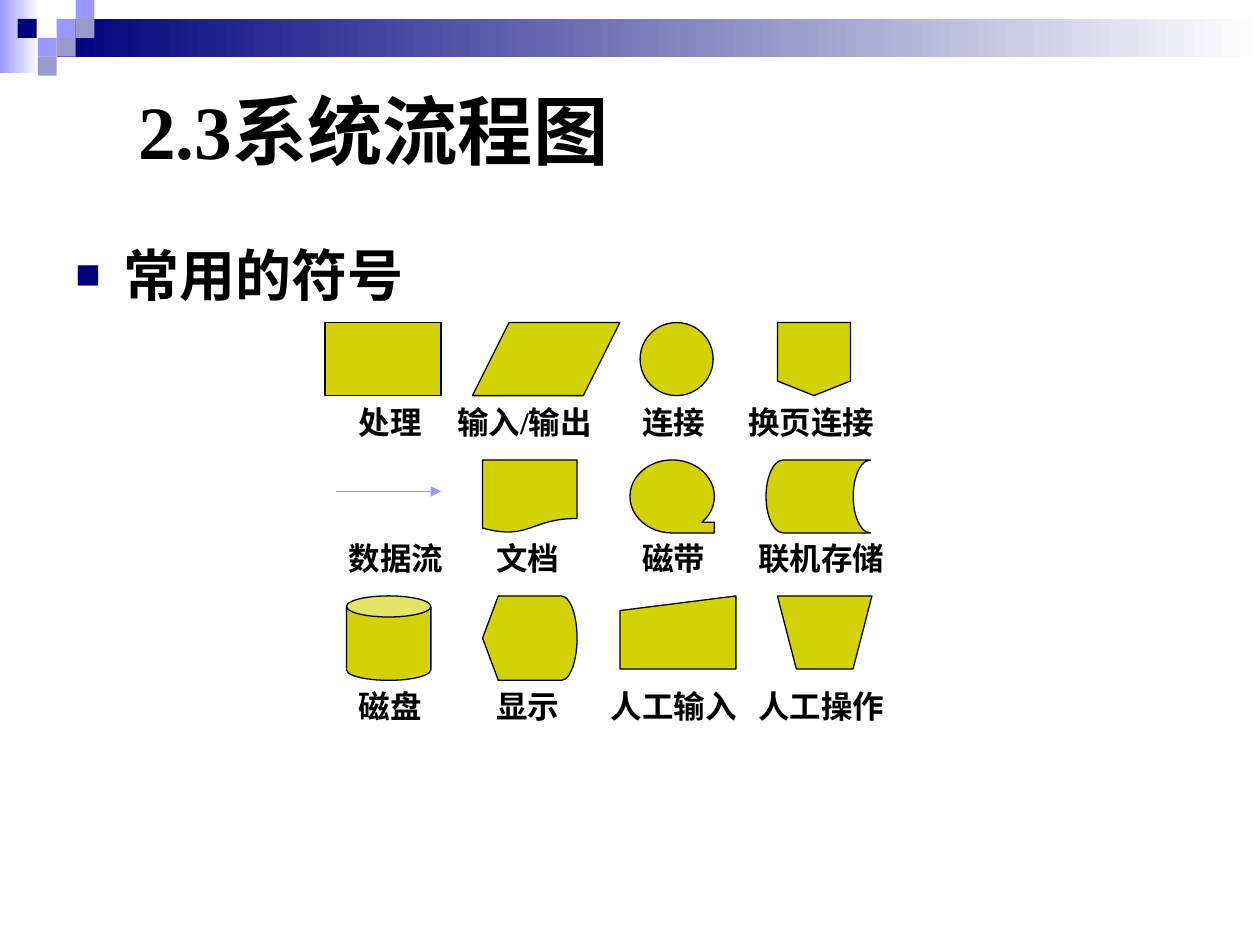
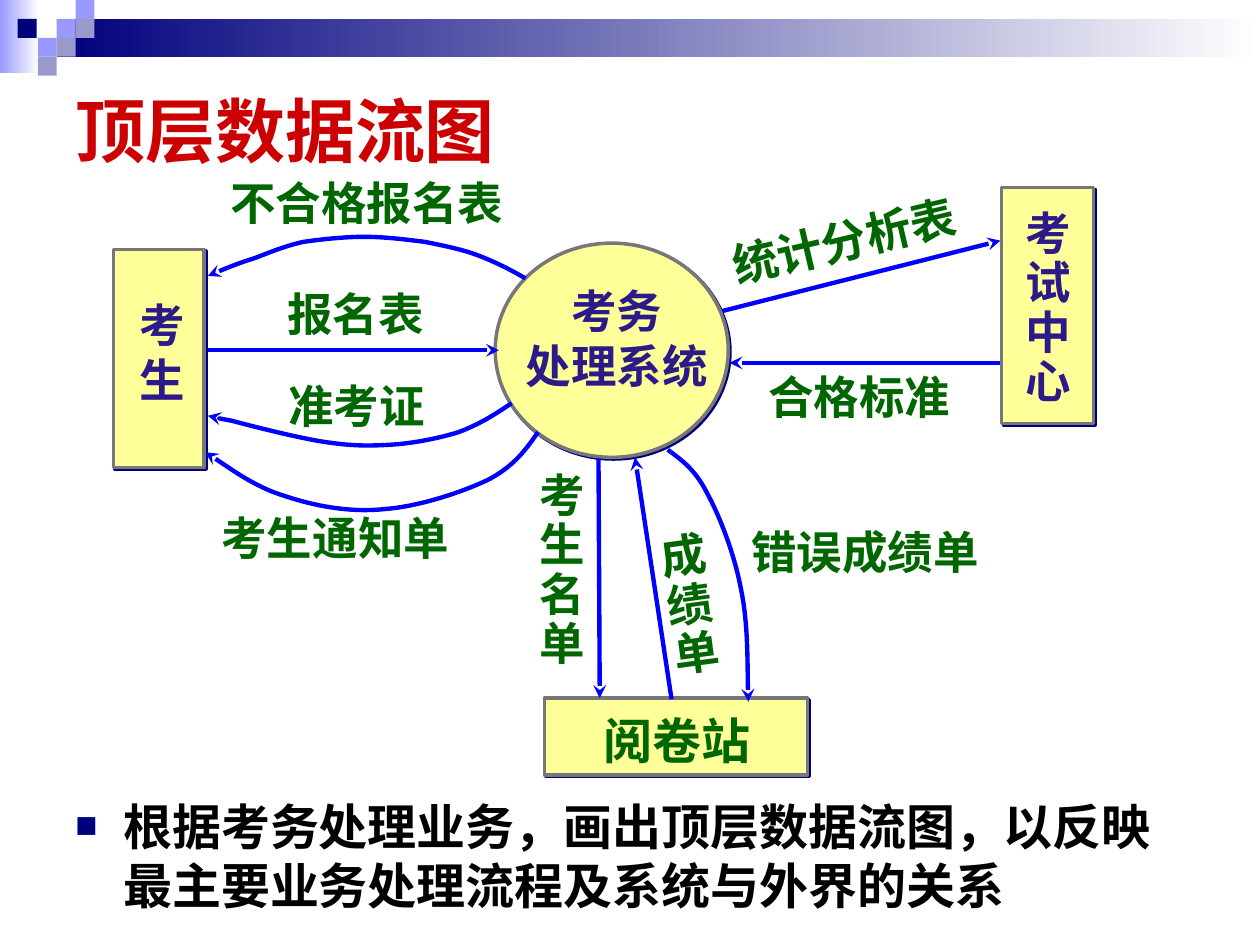
import pptx
import pptx.util
import pptx.dml.color
import pptx.enum.shapes
import pptx.enum.text
import pptx.oxml
import pptx.oxml.ns
from lxml import etree

SCALE = 9144  # EMU per px, 100 px to the inch
SERIF, SANS = "Times New Roman", "Noto Sans CJK SC"
COLORS = {
    "black": "000000", "white": "FFFFFF", "navy": "00007D", "periwinkle": "9999FF",
    "lavender": "9999CC", "olive": "D2D206", "red": "CC0000", "yellow": "FFFF99",
    "gray": "777777", "blue": "0000FF", "indigo": "2C1A88", "green": "006600",
}
SHAPE = pptx.enum.shapes.MSO_SHAPE
ANCHOR = pptx.enum.text.MSO_ANCHOR
ALIGN = pptx.enum.text.PP_ALIGN
qn = pptx.oxml.ns.qn


def px(*lengths):
    return [length * SCALE for length in lengths]


def rgb(color):
    return pptx.dml.color.RGBColor.from_string(COLORS[color])


def set_all(target, values):
    for name, value in values.items():
        setattr(target, name, value)


def add_xml(parent, tag, **attributes):
    texts = {name: str(value) for name, value in attributes.items()}
    return etree.SubElement(parent, qn(tag), texts)


class Painter:
    """Holds the deck, its style and the current page."""

    def __init__(self, width, height):
        self.deck = pptx.Presentation()
        self.deck.slide_width, self.deck.slide_height = px(width, height)
        self.page = None

    def new_page(self):
        self.page = self.deck.slides.add_slide(self.deck.slide_layouts[6])
        self.header()

    def header(self):
        # Fading bands
        for frame, color in (((0, 0, 31, 58), "periwinkle"), ((45, 15, 955, 30), "navy")):
            band = self.shape(SHAPE.RECTANGLE, frame)
            band.fill.gradient()
            band.fill.gradient_angle = 0
            for stop, name, position in zip(band.fill.gradient_stops, (color, "white"), (0, 1)):
                stop.color.rgb = rgb(name)
                stop.position = position
        # Mosaic squares
        for left, top, color in (
            (45, 15, "periwinkle"), (60, 0, "periwinkle"), (60, 15, "lavender"),
            (30, 30, "periwinkle"), (14, 15, "navy"), (45, 30, "lavender"),
            (30, 45, "lavender"),
        ):
            self.shape(SHAPE.RECTANGLE, (left, top, 15, 15), color)

    def shape(self, kind, frame, fill=None, line=None, weight=0.75):
        shape = self.page.shapes.add_shape(kind, *px(*frame))
        shape.shadow.inherit = False
        if fill:
            shape.fill.solid()
            shape.fill.fore_color.rgb = rgb(fill)
        if line:
            shape.line.color.rgb = rgb(line)
            shape.line.width = pptx.util.Pt(weight)
        else:
            shape.line.fill.background()
        return shape

    def node(self, kind, frame):
        node = self.shape(kind, frame, "yellow", "gray", 2)
        effects = node.element.spPr.find(qn("a:effectLst"))
        shadow = add_xml(effects, "a:outerShdw", blurRad=0, dist=17780, dir=2700000,
                         algn="ctr", rotWithShape=0)
        add_xml(shadow, "a:srgbClr", val=COLORS["navy"])

    def text(self, words, frame, size, color="black", font=SERIF, bullet=False,
             wrap=True, anchor=ANCHOR.TOP, align=ALIGN.LEFT, spacing=1.0, rotation=0):
        box = self.page.shapes.add_textbox(*px(*frame))
        box.rotation = rotation
        set_all(box.text_frame, {"word_wrap": wrap, "vertical_anchor": anchor})
        box.text_frame.text = words
        for para in box.text_frame.paragraphs:
            set_all(para, {"alignment": align, "line_spacing": spacing})
            if bullet:
                self.bullet(para)
            for span in para.runs:
                set_all(span.font, {"name": font, "size": pptx.util.Pt(size), "bold": True})
                span.font.color.rgb = rgb(color)
                add_xml(span._r.get_or_add_rPr(), "a:ea", typeface=SANS)

    def bullet(self, para):
        properties = para._p.get_or_add_pPr()
        properties.set("marL", str(38 * SCALE))
        properties.set("indent", str(-38 * SCALE))
        add_xml(add_xml(properties, "a:buClr"), "a:srgbClr", val=COLORS["navy"])
        add_xml(properties, "a:buSzPct", val=75000)
        add_xml(properties, "a:buFont", typeface=SERIF)
        add_xml(properties, "a:buChar", char="■")

    def title(self, words, frame, size, color):
        self.text(words, frame, size, color, anchor=ANCHOR.MIDDLE)

    def label(self, words, frame, color="green", **options):
        self.text(words, frame, 26, color, SANS, **options)

    def arrow_line(self, shape, color, weight, head):
        shape.line.color.rgb = rgb(color)
        shape.line.width = pptx.util.Pt(weight)
        add_xml(shape.line._get_or_add_ln(), "a:tailEnd", type=head)

    def arrow(self, ends, color="blue", weight=2.5, head="stealth"):
        arrow = self.page.shapes.add_connector(
            pptx.enum.shapes.MSO_CONNECTOR.STRAIGHT, *px(*ends))
        self.arrow_line(arrow, color, weight, head)
        add_xml(arrow._element.spPr, "a:effectLst")

    def curve(self, start, *points):
        """Draw an arrow of Bézier pieces, three points to each piece."""
        builder = self.page.shapes.build_freeform(*start, scale=SCALE)
        builder.add_line_segments(points, close=False)
        curve = builder.convert_to_shape()
        curve.shadow.inherit = False
        curve.fill.background()
        self.arrow_line(curve, "blue", 2.5, "stealth")
        segments = list(curve.element.iter(qn("a:lnTo")))
        for first in range(0, len(segments), 3):
            piece = etree.Element(qn("a:cubicBezTo"))
            segments[first].addprevious(piece)
            for segment in segments[first:first + 3]:
                piece.append(segment[0])
                segment.getparent().remove(segment)


def draw_symbols(painter):
    painter.new_page()
    painter.title("2.3系统流程图", (100, 50, 794, 105), 43, "black")
    painter.text("常用的符号", (50, 186, 900, 488), 32, bullet=True)

    # Rows of symbols: top, label top, then kind, left, width, height, label, label left
    rows = (
        (256, 315, (
            (SHAPE.RECTANGLE, 258, 92, 58, "处理", 275),
            (SHAPE.PARALLELOGRAM, 375, 117, 58, "输入/输出", 353),
            (SHAPE.OVAL, 508, 58, 58, "连接", 500),
            (SHAPE.FLOWCHART_OFFPAGE_CONNECTOR, 617, 58, 58, "换页连接", 584))),
        (365, 423, (
            (None, 267, 83, 50, "数据流", 267),
            (SHAPE.FLOWCHART_DOCUMENT, 383, 75, 58, "文档", 384),
            (SHAPE.FLOWCHART_SEQUENTIAL_ACCESS_STORAGE, 500, 67, 58, "磁带", 500),
            (SHAPE.FLOWCHART_STORED_DATA, 608, 83, 58, "联机存储", 592))),
        (473, 540, (
            (SHAPE.CAN, 275, 67, 67, "磁盘", 275),
            (SHAPE.FLOWCHART_DISPLAY, 383, 75, 67, "显示", 384),
            (SHAPE.FLOWCHART_MANUAL_INPUT, 492, 92, 58, "人工输入", 475),
            (SHAPE.FLOWCHART_MANUAL_OPERATION, 617, 75, 58, "人工操作", 592))),
    )
    for top, label_top, symbols in rows:
        for kind, left, width, height, name, label_left in symbols:
            if kind is None:
                middle = top + height // 2
                painter.arrow((left, middle, left + width, middle),
                              "periwinkle", 0.75, "triangle")
            else:
                symbol = painter.shape(kind, (left, top, width, height), "olive", "black")
                if kind == SHAPE.PARALLELOGRAM:
                    symbol.adjustments[0] = 0.5
            label_width = 20 + 25 * len(name)
            painter.text(name, (label_left, label_top, label_width, 40), 18, wrap=False)


def draw_data_flow(painter):
    painter.new_page()
    painter.title("顶层数据流图", (50, 50, 900, 105), 40, "red")

    # Flows that run beneath the nodes
    for ends in ((812, 288, 579, 288), (557, 251, 794, 191)):
        painter.arrow(ends)

    # Nodes and their names
    painter.node(SHAPE.RECTANGLE, (90, 198, 72, 173))
    painter.node(SHAPE.OVAL, (393, 193, 185, 170))
    painter.node(SHAPE.RECTANGLE, (795, 149, 73, 187))
    painter.node(SHAPE.RECTANGLE, (432, 554, 209, 61))
    painter.label("考\n生", (101, 231, 61, 97), "indigo")
    painter.label("考务\n处理系统", (395, 220, 189, 97), "indigo", align=ALIGN.CENTER)
    painter.label("考\n试\n中\n心", (804, 163, 61, 166), "indigo", spacing=0.9)
    painter.text("阅卷站", (469, 559, 138, 57), 28, "green")

    # Straight flows
    for ends in ((165, 278, 396, 278), (475, 364, 476, 554), (533, 555, 504, 363)):
        painter.arrow(ends)

    # Curved flows
    painter.curve((417, 221), (405, 214), (393, 208), (380, 203),
                  (367, 198), (352, 195), (337, 192), (321, 190), (305, 188), (289, 188),
                  (273, 188), (255, 190), (241, 192), (227, 195), (215, 200), (202, 205),
                  (189, 209), (172, 216), (165, 219))
    painter.curve((406, 320), (393, 329), (380, 337), (364, 343),
                  (348, 348), (327, 352), (310, 353), (292, 354), (280, 354), (259, 351),
                  (238, 348), (199, 338), (184, 334), (168, 331), (168, 331), (165, 330))
    painter.curve((427, 343), (418, 356), (409, 369), (389, 380),
                  (369, 390), (333, 402), (306, 404), (279, 407), (251, 402), (227, 394),
                  (203, 387), (173, 365), (163, 359))
    painter.curve((530, 357), (541, 365), (552, 373), (561, 391),
                  (571, 409), (583, 440), (588, 467), (594, 495), (593, 542), (594, 557))

    # Names of the flows
    for words, frame in (
        ("不合格报名表", (173, 134, 292, 53)), ("报名表", (218, 222, 137, 53)),
        ("准考证", (219, 295, 189, 53)), ("考生通知单", (166, 400, 260, 53)),
        ("合格标准", (600, 288, 181, 53)),
    ):
        painter.label(words, frame)
    painter.label("成\n绩\n单", (520, 417, 71, 127), spacing=0.9, rotation=352.2)
    painter.label("错误成绩单", (580, 416, 213, 49), spacing=0.9, align=ALIGN.CENTER)
    painter.label("考生名\n单", (418, 371, 71, 166), spacing=0.9)
    painter.label("统计分析表", (569, 159, 244, 53), rotation=346.8)

    painter.text("根据考务处理业务，画出顶层数据流图，以反映最主要业务处理流程及系统与外界的关系",
                 (50, 627, 900, 110), 28, bullet=True)


def main():
    painter = Painter(1000, 750)
    draw_symbols(painter)
    draw_data_flow(painter)
    painter.deck.save("out.pptx")


if __name__ == "__main__":
    main()
